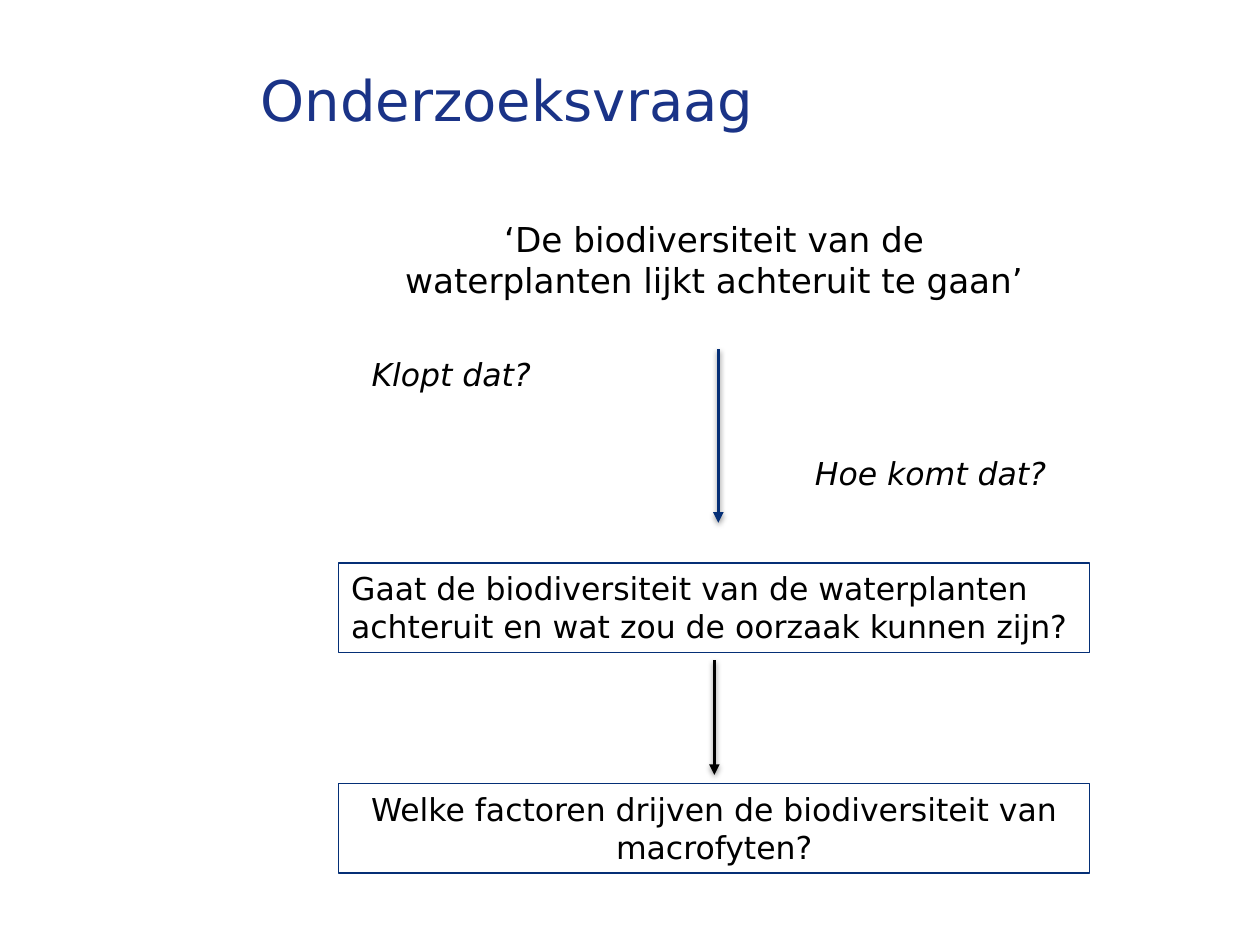
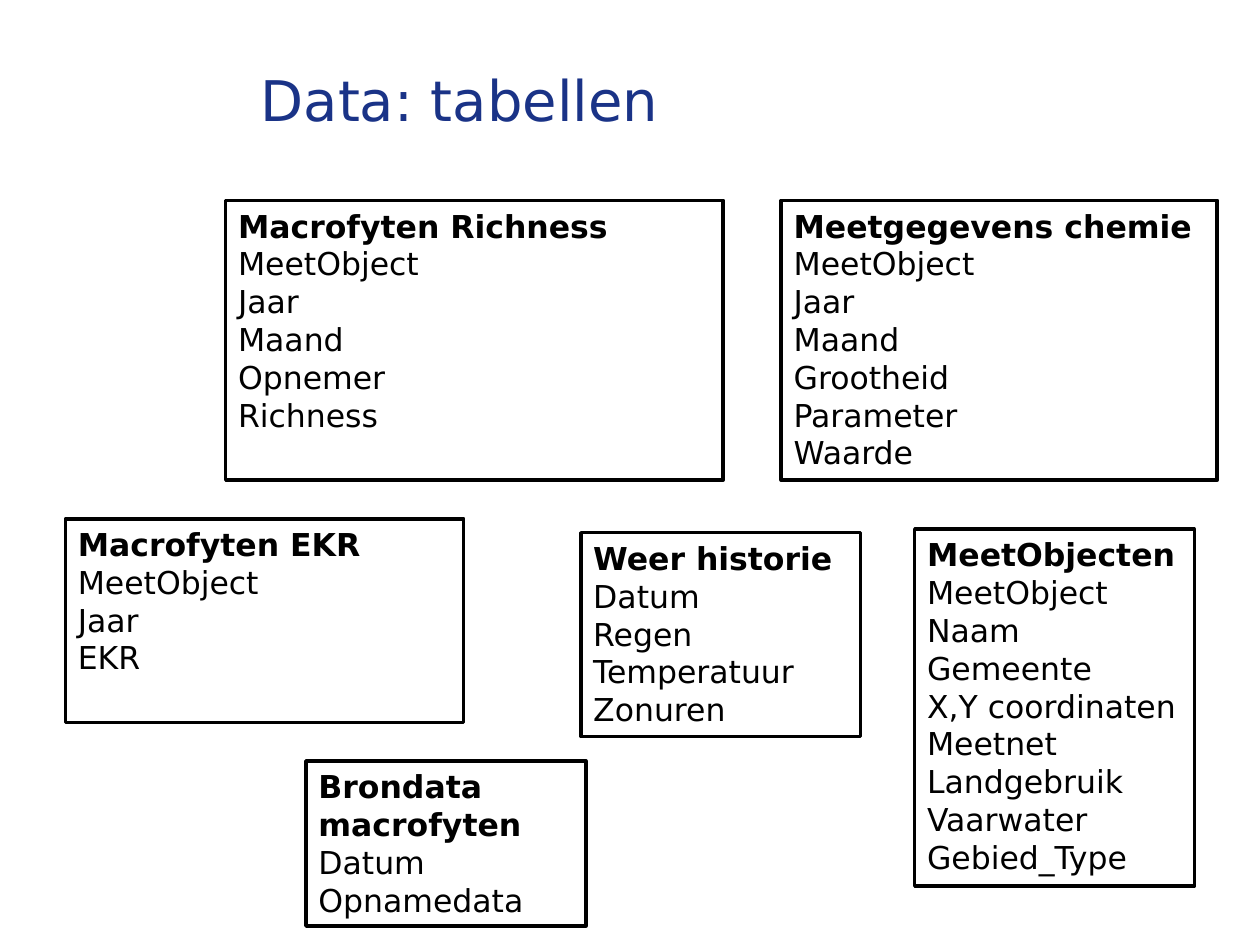
from lxml import etree
from pptx import Presentation
from pptx.dml.color import RGBColor
from pptx.enum import shapes, text
from pptx.oxml import ns
from pptx.util import Cm, Pt

FONT = "DejaVu Sans"
COLORS = {"title": "1A3387", "navy": "052F76", "black": "000000", "white": "FFFFFF"}
LEFT, CENTER = text.PP_ALIGN.LEFT, text.PP_ALIGN.CENTER

# Heading, fields and (left, top, width, height) in cm
TABLES = [
    ("Macrofyten Richness", "MeetObject Jaar Maand Opnemer Richness".split(),
     (4.55, 4.04, 10.03, 5.64)),
    ("Meetgegevens chemie", "MeetObject Jaar Maand Grootheid Parameter Waarde".split(),
     (15.75, 4.04, 8.79, 5.64)),
    ("Weer historie", "Datum Regen Temperatuur Zonuren".split(),
     (11.71, 10.74, 5.64, 4.11)),
    ("MeetObjecten",
     ["MeetObject", "Naam", "Gemeente", "X,Y coordinaten", "Meetnet",
      "Landgebruik", "Vaarwater", "Gebied_Type"],
     (18.44, 10.67, 5.64, 7.19)),
    ("Brondata macrofyten", ["Datum", "Opnamedata"], (6.17, 15.34, 5.64, 3.33)),
    ("Macrofyten EKR", ["MeetObject", "Jaar", "EKR"], (1.32, 10.46, 8.03, 4.11)),
]


def rgb(name):
    return RGBColor.from_string(COLORS[name])


def write(tf, lines, size=18, color="black", italic=False, align=LEFT, bold_first=False):
    """Fill a text frame with one paragraph per line."""
    tf.word_wrap = True
    tf.auto_size = text.MSO_AUTO_SIZE.NONE
    tf.vertical_anchor = text.MSO_ANCHOR.TOP
    for i, line in enumerate(lines):
        p = tf.paragraphs[0] if i == 0 else tf.add_paragraph()
        p.alignment = align
        r = p.add_run()
        r.text = line
        r.font.name, r.font.size = FONT, Pt(size)
        r.font.bold = bold_first and i == 0
        r.font.italic = italic
        r.font.color.rgb = rgb(color)


class Deck:
    def __init__(self):
        self.prs = Presentation()
        self.prs.slide_width, self.prs.slide_height = Cm(25.4), Cm(19.05)
        self.s = None

    def slide(self, title):
        self.s = self.prs.slides.add_slide(self.prs.slide_layouts[5])
        sp = self.s.shapes.title
        sp.left, sp.top, sp.width, sp.height = Cm(5), Cm(1.19), Cm(19.08), Cm(4.04)
        write(sp.text_frame, [title], size=32, color="title")

    def label(self, line, box, **fmt):
        sp = self.s.shapes.add_textbox(*map(Cm, box))
        write(sp.text_frame, [line], **fmt)

    def box(self, lines, box, line="black", width=2, fill=None, **fmt):
        sp = self.s.shapes.add_shape(shapes.MSO_SHAPE.RECTANGLE, *map(Cm, box))
        sp.shadow.inherit = False
        if fill:
            sp.fill.solid()
            sp.fill.fore_color.rgb = rgb(fill)
        else:
            sp.fill.background()
        sp.line.color.rgb = rgb(line)
        sp.line.width = Pt(width)
        write(sp.text_frame, lines, **fmt)

    def down_arrow(self, x, top, bottom, color):
        """Vertical arrow with a soft shadow below it."""
        c = self.s.shapes.add_connector(
            shapes.MSO_CONNECTOR.STRAIGHT, Cm(x), Cm(top), Cm(x), Cm(bottom))
        c.line.color.rgb = rgb(color)
        c.line.width = Pt(2)
        etree.SubElement(c.line._get_or_add_ln(), ns.qn("a:tailEnd"), type="triangle")
        effects = etree.SubElement(c._element.spPr, ns.qn("a:effectLst"))
        shadow = etree.SubElement(
            effects, ns.qn("a:outerShdw"), blurRad=str(Pt(3.1)), dist=str(Pt(1.6)),
            dir="5400000", rotWithShape="0")
        tint = etree.SubElement(shadow, ns.qn("a:srgbClr"), val=COLORS["black"])
        etree.SubElement(tint, ns.qn("a:alpha"), val="38000")


def research_question(deck):
    deck.slide("Onderzoeksvraag")
    deck.label("‘De biodiversiteit van de waterplanten lijkt achteruit te gaan’",
               (7.54, 4.27, 13.72, 2.29), size=19.6, align=CENTER)
    deck.label("Klopt dat?", (7.24, 7.04, 6, 1.02), italic=True)
    deck.label("Hoe komt dat?", (16.18, 9.02, 6, 1.02), italic=True)
    deck.down_arrow(14.48, 7.04, 10.54, "navy")
    deck.down_arrow(14.4, 13.31, 15.62, "black")
    questions = [
        ("Gaat de biodiversiteit van de waterplanten achteruit en wat zou de oorzaak "
         "kunnen zijn?", 11.35, LEFT),
        ("Welke factoren drijven de biodiversiteit van macrofyten?", 15.8, CENTER),
    ]
    for question, top, align in questions:
        deck.box([question], (6.83, top, 15.14, 1.8), line="navy", width=0.75, align=align)


def data_tables(deck):
    deck.slide("Data: tabellen")
    for heading, fields, box in TABLES:
        deck.box([heading, *fields], box, fill="white", bold_first=True)


def main():
    deck = Deck()
    research_question(deck)
    data_tables(deck)
    deck.prs.save("out.pptx")


if __name__ == "__main__":
    main()
